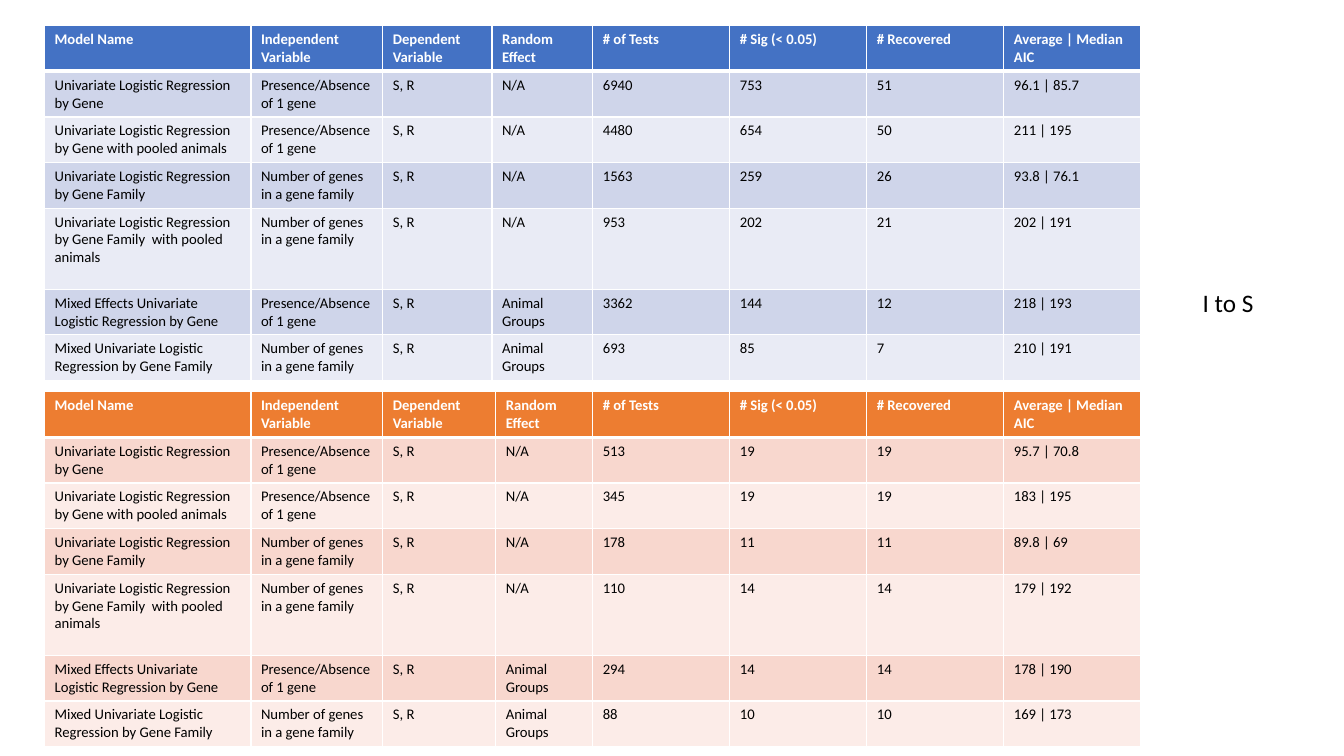
from dataclasses import dataclass
from lxml.etree import SubElement as Sub
from pptx import Presentation
from pptx.dml.color import RGBColor as RGB
from pptx.enum.text import MSO_ANCHOR as Anchor, MSO_AUTO_SIZE as Fit, PP_ALIGN as Align
from pptx.oxml.ns import qn
from pptx.util import Pt


@dataclass(frozen=True)
class Theme:
    font: str = "Calibri"
    small: float = 10.5
    large: float = 18
    ink: str = "000000"
    paper: str = "FFFFFF"
    thin: float = 1
    thick: float = 3
    # Each palette: header, odd rows, even rows
    blue: tuple = ("4472C4", "CFD5EA", "E9EBF5")
    orange: tuple = ("ED7D31", "F8D7CE", "FCECE8")


# Wording shared by both tables
HEAD = ("Model Name", "Independent Variable", "Dependent Variable", "Random Effect",
        "# of Tests", "# Sig (< 0.05)", "# Recovered", "Average | Median AIC")
GENE, FAMILY = "Presence/Absence of 1 gene", "Number of genes in a gene family"
MODELS = (
    ("Univariate Logistic Regression by Gene", GENE, "S, R", "N/A"),
    ("Univariate Logistic Regression by Gene with pooled animals", GENE, "S, R", "N/A"),
    ("Univariate Logistic Regression by Gene Family", FAMILY, "S, R", "N/A"),
    ("Univariate Logistic Regression by Gene Family  with pooled animals", FAMILY, "S, R", "N/A"),
    ("Mixed Effects Univariate Logistic Regression by Gene", GENE, "S, R", "Animal Groups"),
    ("Mixed Univariate Logistic Regression by Gene Family", FAMILY, "S, R", "Animal Groups"),
)

# Results: tests, significant, recovered, AIC
UPPER = (
    ("6940", "753", "51", "96.1 | 85.7"),
    ("4480", "654", "50", "211 | 195"),
    ("1563", "259", "26", "93.8 | 76.1"),
    ("953", "202", "21", "202 | 191"),
    ("3362", "144", "12", "218 | 193"),
    ("693", "85", "7", "210 | 191"),
)
LOWER = (
    ("513", "19", "19", "95.7 | 70.8"),
    ("345", "19", "19", "183 | 195"),
    ("178", "11", "11", "89.8 | 69"),
    ("110", "14", "14", "179 | 192"),
    ("294", "14", "14", "178 | 190"),
    ("88", "10", "10", "169 | 173"),
)

# Table layout in points
LEFT = 31.9
ROWS = [32.6] * 4 + [57.9] + [32.6] * 2
RESULT = [97.9] * 4


class Page:
    def __init__(self, slide, theme):
        self.slide, self.theme = slide, theme

    def text(self, para, words, size, color, bold=False):
        run = para.add_run()
        run.text = words
        font = run.font
        font.name, font.size, font.bold = self.theme.font, Pt(size), bold
        font.color.rgb = RGB.from_string(color)

    def border(self, cell, top, bottom):
        props = cell._tc.get_or_add_tcPr()
        thin = self.theme.thin
        for side, width in (("L", thin), ("R", thin), ("T", top), ("B", bottom)):
            line = Sub(props, qn(f"a:ln{side}"), w=str(Pt(width)))
            fill = Sub(line, qn("a:solidFill"))
            Sub(fill, qn("a:srgbClr"), val=self.theme.paper)

    def table(self, top, cols, rows, shades):
        look = self.theme
        frame = self.slide.shapes.add_table(len(rows), len(cols), Pt(LEFT), Pt(top),
                                            Pt(sum(cols)), Pt(sum(ROWS)))
        grid = frame.table
        for col, width in zip(grid.columns, cols):
            col.width = Pt(width)
        for r, (row, high) in enumerate(zip(rows, ROWS)):
            grid.rows[r].height = Pt(high)
            head = r == 0
            shade = shades[0] if head else shades[2 - r % 2]
            for c, words in enumerate(row):
                cell = grid.cell(r, c)
                # The heavy rule lies between the header and the first row
                self.border(cell, look.thick if r == 1 else look.thin,
                            look.thick if head else look.thin)
                cell.fill.solid()
                cell.fill.fore_color.rgb = RGB.from_string(shade)
                self.text(cell.text_frame.paragraphs[0], words, look.small,
                          look.paper if head else look.ink, head)

    def title(self, words, left, top, width, height):
        shape = self.slide.shapes.title
        shape.left, shape.top, shape.width, shape.height = map(Pt, (left, top, width, height))
        frame = shape.text_frame
        frame.word_wrap = False
        frame.auto_size = Fit.SHAPE_TO_FIT_TEXT
        frame.vertical_anchor = Anchor.TOP
        para = frame.paragraphs[0]
        para.alignment = Align.LEFT
        self.text(para, words, self.theme.large, self.theme.ink)


def main():
    deck = Presentation()
    deck.slide_width, deck.slide_height = Pt(960), Pt(540)
    theme = Theme()
    page = Page(deck.slides.add_slide(deck.slide_layouts[5]), theme)

    # Two result tables, one above the other
    for top, mid, data, shades in ((18.3, [78, 72], UPPER, theme.blue),
                                   (279.8, [80.7, 69.3], LOWER, theme.orange)):
        rows = [HEAD] + [model + result for model, result in zip(MODELS, data)]
        page.table(top, [147.4, 94.2] + mid + RESULT, rows, shades)

    # Side title
    page.title("I to S", 851.8, 201.8, 51, 29)
    deck.save("out.pptx")


if __name__ == "__main__":
    main()
